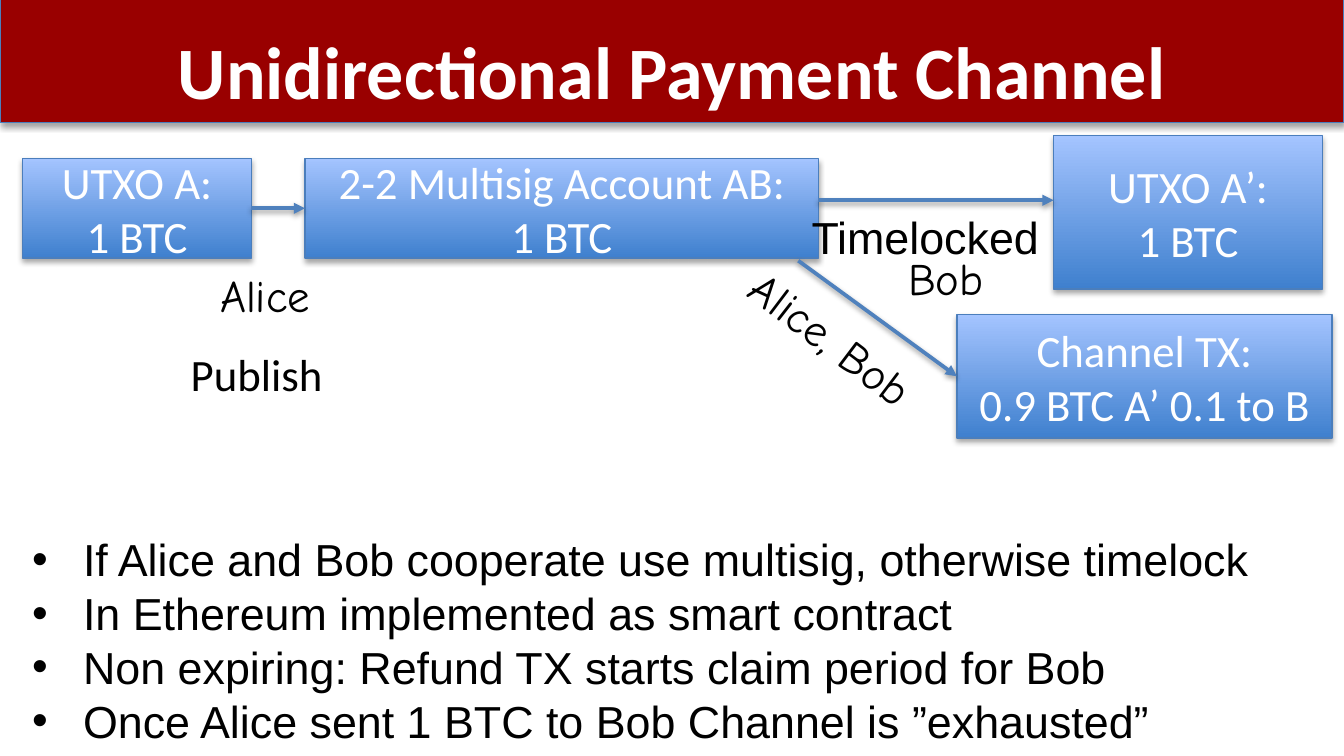
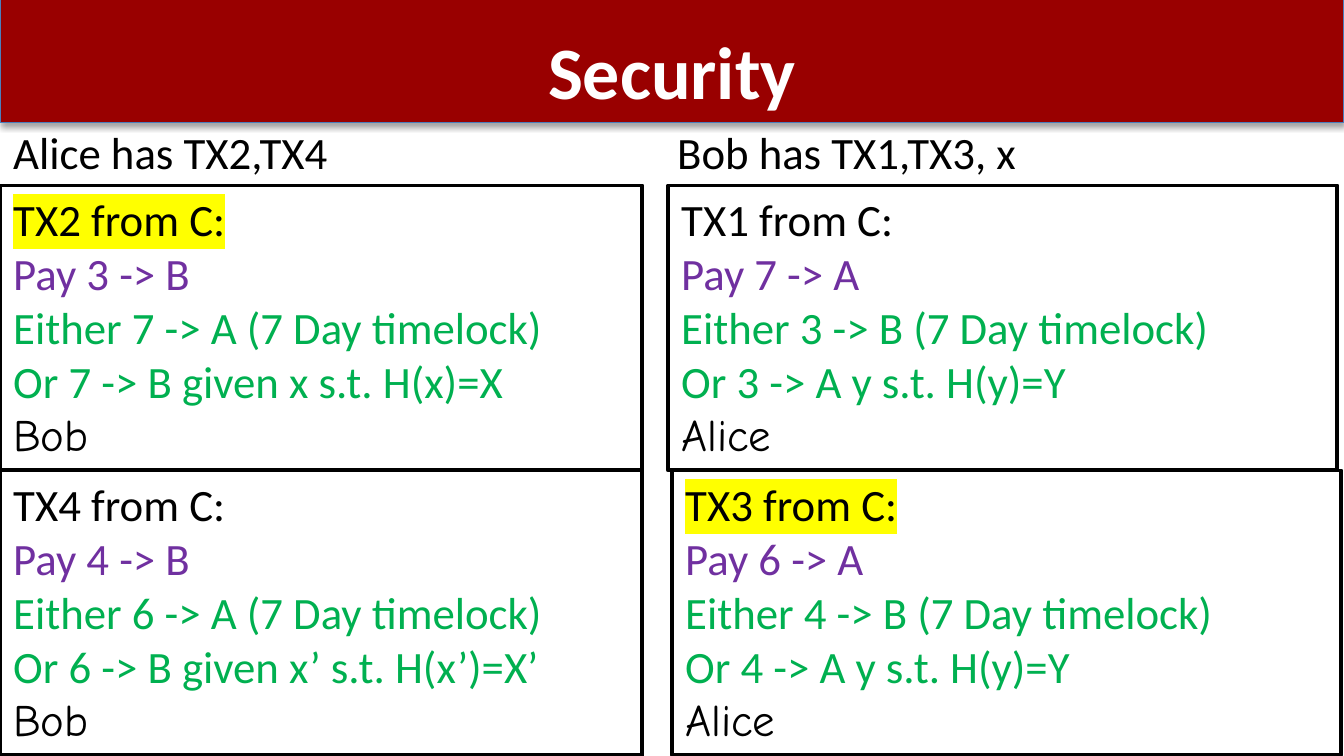
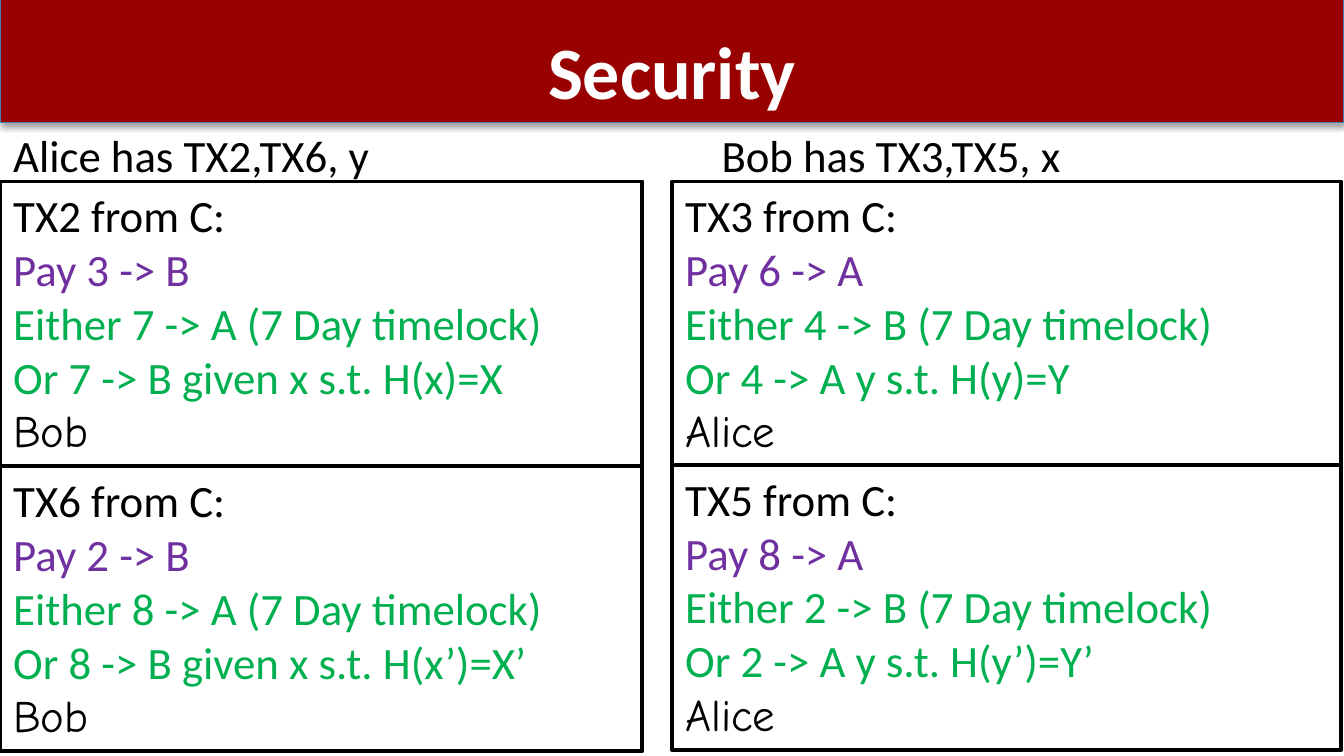
from lxml.etree import SubElement
from pptx import Presentation
from pptx.dml.color import RGBColor
from pptx.enum.shapes import MSO_CONNECTOR as Connector, MSO_SHAPE as Shape
from pptx.enum.text import MSO_ANCHOR as Anchor, MSO_AUTO_SIZE as AutoSize, PP_ALIGN as Align
from pptx.oxml.ns import qn
from pptx.util import Pt

PX = 9144  # EMU per px, 100 px to the inch
SLIDE_WIDTH = 1000 * PX
SLIDE_HEIGHT = SLIDE_WIDTH * 9 // 16

WHITE = RGBColor(0xFF, 0xFF, 0xFF)
BLACK = RGBColor(0x00, 0x00, 0x00)
DARK_RED = RGBColor(0x99, 0x00, 0x00)
EDGE_BLUE = RGBColor(0x4B, 0x7E, 0xBC)
ARROW_BLUE = RGBColor(0x4F, 0x81, 0xBD)
DEEP_BLUE = RGBColor(0x3F, 0x80, 0xCE)
PALE_BLUE = RGBColor(0xA4, 0xC4, 0xFF)
PURPLE = RGBColor(0x70, 0x30, 0xA0)
GREEN = RGBColor(0x00, 0xB0, 0x50)
YELLOW = RGBColor(0xFF, 0xFF, 0x00)

BODY_FONT, PLAIN_FONT, SIGNATURE_FONT = "Calibri", "Arial", "Comic Neue"
LEFT, RIGHT = 1, 3  # connection sites
CHANNEL_TOTAL = 10


def write(frame, lines, **base):
    """Fill a frame; a line is a string, or a string with its own format."""
    for index, line in enumerate(lines):
        text, own = (line, {}) if isinstance(line, str) else line
        style = {**base, **own}
        paragraph = frame.paragraphs[0] if index == 0 else frame.add_paragraph()
        paragraph.alignment = style.get("align", Align.LEFT)
        if style.get("bullet"):
            properties = paragraph._p.get_or_add_pPr()
            properties.set("marL", str(38 * PX))
            properties.set("indent", str(-38 * PX))
            SubElement(properties, qn("a:buFont"), typeface=PLAIN_FONT)
            SubElement(properties, qn("a:buChar"), char="•")
        run = paragraph.add_run()
        run.text = text
        run.font.size = Pt(style.get("size", 24))
        run.font.bold = style.get("bold", False)
        run.font.color.rgb = style.get("color", BLACK)
        if "highlight" in style:
            marker = SubElement(run._r.get_or_add_rPr(), qn("a:highlight"))
            SubElement(marker, qn("a:srgbClr"), val=str(style["highlight"]))
        run.font.name = style.get("font", BODY_FONT)


def drop_shadow(shape, opacity, distance):
    """Add a downward shadow; call it once the outline is set."""
    effects = SubElement(shape.element.spPr, qn("a:effectLst"))
    shadow = SubElement(effects, qn("a:outerShdw"), blurRad=str(Pt(3.1)),
                        dist=str(Pt(distance)), dir="5400000", rotWithShape="0")
    tint = SubElement(shadow, qn("a:srgbClr"), val=str(BLACK))
    SubElement(tint, qn("a:alpha"), val=str(opacity * 1000))


class Deck:
    def __init__(self):
        self.presentation = Presentation()
        self.presentation.slide_width = SLIDE_WIDTH
        self.presentation.slide_height = SLIDE_HEIGHT
        self.slide = None

    def start_slide(self, title):
        self.slide = self.presentation.slides.add_slide(self.presentation.slide_layouts[6])
        band = self.outlined(Shape.RECTANGLE, (0, -1, 1000, 92), EDGE_BLUE, 0.75)
        band.fill.solid()
        band.fill.fore_color.rgb = DARK_RED
        drop_shadow(band, 35, 1.8)
        self.text((50, 14, 900, 68), [title], wrap=False, grow=False,
                  size=39.6, bold=True, color=WHITE, align=Align.CENTER)

    def outlined(self, kind, place, color, width):
        shape = self.slide.shapes.add_shape(kind, *(length * PX for length in place))
        shape.line.color.rgb = color
        shape.line.width = Pt(width)
        return shape

    def text(self, place, lines, wrap=True, grow=True, rotation=0, **style):
        box = self.slide.shapes.add_textbox(*(length * PX for length in place))
        box.rotation = rotation
        frame = box.text_frame
        frame.word_wrap = wrap
        frame.auto_size = AutoSize.SHAPE_TO_FIT_TEXT if grow else AutoSize.NONE
        write(frame, lines, **style)

    def account(self, place, *lines):
        box = self.outlined(Shape.FLOWCHART_PROCESS, place, EDGE_BLUE, 0.75)
        box.fill.gradient()
        box.fill.gradient_angle = 90
        for stop, color in zip(box.fill.gradient_stops, (DEEP_BLUE, PALE_BLUE)):
            stop.color.rgb = color
        drop_shadow(box, 35, 1.8)
        box.text_frame.word_wrap = True
        box.text_frame.vertical_anchor = Anchor.MIDDLE
        write(box.text_frame, lines, color=WHITE, align=Align.CENTER)
        return box

    def arrow(self, start, end, source=None, target=None):
        arrow = self.slide.shapes.add_connector(
            Connector.STRAIGHT, *(length * PX for length in start + end))
        if source:
            arrow.begin_connect(source, RIGHT)
        if target:
            arrow.end_connect(target, LEFT)
        arrow.line.color.rgb = ARROW_BLUE
        arrow.line.width = Pt(2)
        SubElement(arrow.element.spPr.find(qn("a:ln")), qn("a:tailEnd"), type="triangle")
        drop_shadow(arrow, 38, 1.6)

    def transaction(self, left, top, name, paid, payee, condition, marked=False):
        """Box of one channel transaction, signed by the party who is paid."""
        width, other, signer = (478, "A", "Bob") if payee == "B" else (498, "B", "Alice")
        rest = CHANNEL_TOTAL - paid
        box = self.outlined(Shape.RECTANGLE, (left, top, width, 212), BLACK, 2)
        box.shadow.inherit = False
        box.fill.solid()
        box.fill.fore_color.rgb = WHITE
        frame = box.text_frame
        frame.word_wrap = True
        frame.auto_size = AutoSize.SHAPE_TO_FIT_TEXT
        frame.vertical_anchor = Anchor.TOP
        write(frame, [
            (f"{name} from C:", {"highlight": YELLOW} if marked else {}),
            (f"Pay {paid} -> {payee}", {"color": PURPLE}),
            (f"Either {rest} -> {other} (7 Day timelock)", {"color": GREEN}),
            (f"Or {rest} -> {payee} {condition}", {"color": GREEN}),
            (signer, {"font": SIGNATURE_FONT}),
        ])


def payment_channel(deck):
    deck.start_slide("Unidirectional Payment Channel")
    multisig = deck.account((227, 118, 382, 74), "2-2 Multisig Account AB:", "1 BTC")
    deposit = deck.account((17, 118, 170, 74), "UTXO A:", "1 BTC")
    deck.account((784, 101, 200, 114), "UTXO A’:", "1 BTC")
    channel = deck.account((712, 234, 279, 92), "Channel TX:", "0.9 BTC A’ 0.1 to B")

    deck.arrow((187, 155), (227, 155), source=deposit, target=multisig)
    deck.arrow((609, 149), (784, 149))
    deck.arrow((594, 194), (712, 280), target=channel)

    deck.text((594, 151, 200, 50), ["Timelocked"], font=PLAIN_FONT)
    deck.text((154, 194, 164, 50), ["Alice"], font=SIGNATURE_FONT)
    deck.text((666, 182, 164, 50), ["Bob"], font=SIGNATURE_FONT)
    deck.text((132, 253, 149, 50), ["Publish"])
    deck.text((534, 241, 206, 50), ["Alice, Bob"], rotation=37.2, font=SIGNATURE_FONT)
    deck.text((14, 391, 973, 172), [
        "If Alice and Bob cooperate use multisig, otherwise timelock",
        "In Ethereum implemented as smart contract",
        "Non expiring: Refund TX starts claim period for Bob",
        "Once Alice sent 1 BTC to Bob Channel is ”exhausted”",
    ], font=PLAIN_FONT, bullet=True)


def security_first_update(deck):
    deck.start_slide("Security")
    deck.transaction(500, 350, "TX3", 6, "A", "y s.t. H(y)=Y", marked=True)
    deck.transaction(0, 350, "TX4", 4, "B", "given x’ s.t. H(x’)=X’")
    deck.transaction(497, 138, "TX1", 7, "A", "y s.t. H(y)=Y")
    deck.transaction(0, 138, "TX2", 3, "B", "given x s.t. H(x)=X", marked=True)
    deck.text((0, 88, 478, 50), ["Alice has TX2,TX4"])
    deck.text((494, 88, 478, 50), ["Bob has TX1,TX3, x"])


def security_second_update(deck):
    deck.start_slide("Security")
    deck.transaction(500, 135, "TX3", 6, "A", "y s.t. H(y)=Y")
    deck.transaction(0, 135, "TX2", 3, "B", "given x s.t. H(x)=X")
    deck.transaction(500, 346, "TX5", 8, "A", "y s.t. H(y’)=Y’")
    deck.transaction(0, 347, "TX6", 2, "B", "given x s.t. H(x’)=X’")
    deck.text((527, 90, 342, 50), ["Bob has TX3,TX5, x"])
    deck.text((0, 90, 342, 50), ["Alice has TX2,TX6, y"])


def main():
    deck = Deck()
    payment_channel(deck)
    security_first_update(deck)
    security_second_update(deck)
    deck.presentation.save("out.pptx")


if __name__ == "__main__":
    main()
